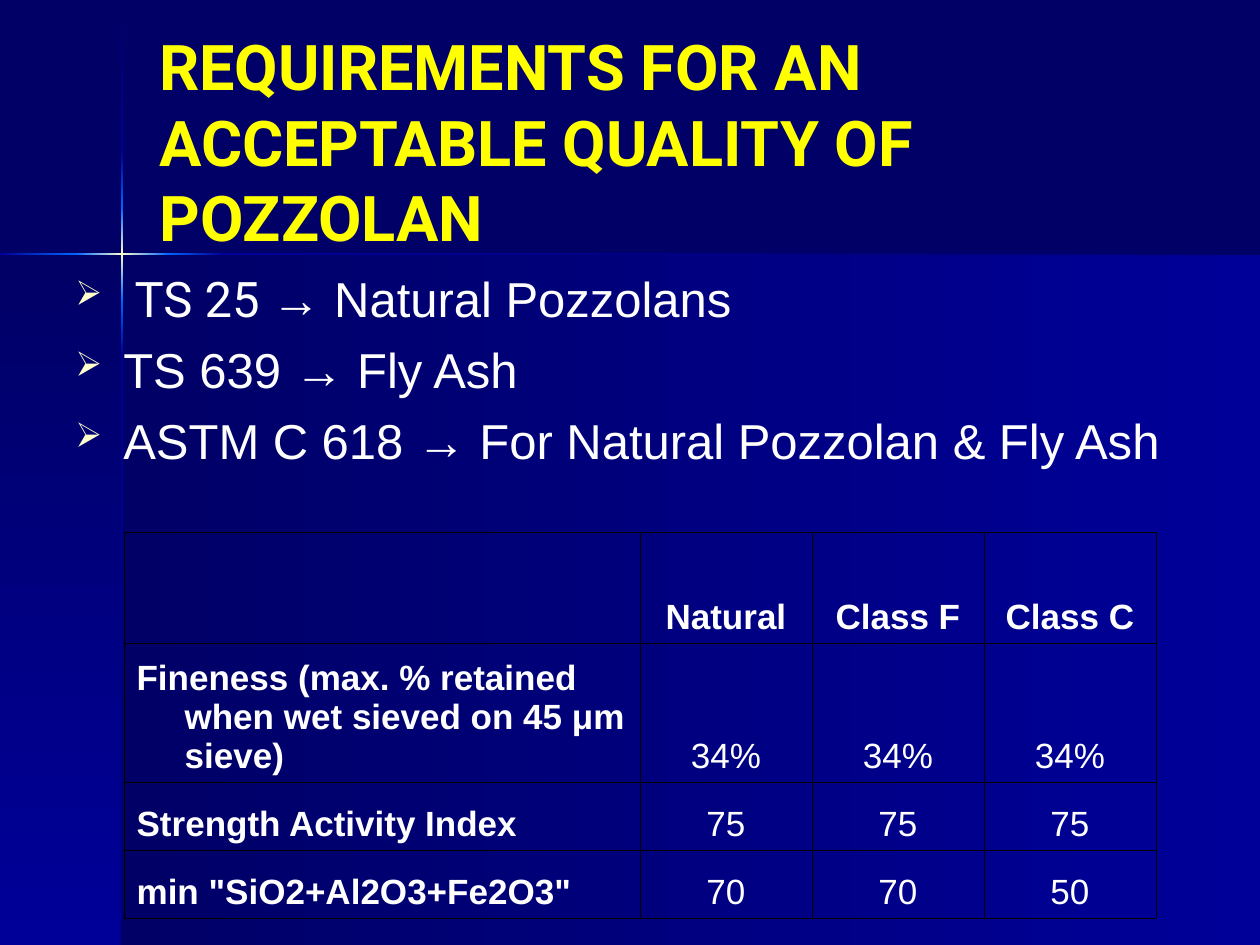
from dataclasses import dataclass

from lxml import etree
from pptx import Presentation
from pptx import util as u
from pptx.dml.color import RGBColor
from pptx.enum import shapes, text
from pptx.oxml import ns

NAVY = RGBColor(0x00, 0x00, 0x66)
BLUE = RGBColor(0x00, 0x00, 0x99)
GLOW = RGBColor(0x00, 0x66, 0xFF)
CREAM = RGBColor(0xFF, 0xFF, 0xCC)
YELLOW = RGBColor(0xFF, 0xFF, 0x00)
WHITE = RGBColor(0xFF, 0xFF, 0xFF)
BLACK = RGBColor(0x00, 0x00, 0x00)

DOWN, LEFT = 90, 180  # clockwise direction of a gradient
HANG = 48             # hanging indent


@dataclass
class Band:
    x: int
    y: int
    w: int
    h: int
    angle: int
    stops: tuple[RGBColor, ...]


# Two panels, then the glowing cross
BANDS = [
    Band(122, 255, 1138, 690, LEFT, (BLUE, NAVY)),
    Band(0, 255, 122, 690, DOWN, (NAVY, BLUE)),
    Band(121, 1, 2, 151, DOWN, (NAVY, BLUE)),
    Band(121, 355, 2, 590, DOWN, (BLUE, NAVY)),
    Band(223, 253, 1037, 2, LEFT, (NAVY, BLUE)),
    Band(121, 300, 2, 55, DOWN, (GLOW, BLUE)),
    Band(121, 152, 2, 56, DOWN, (BLUE, GLOW)),
    Band(121, 208, 2, 92, DOWN, (GLOW, CREAM, GLOW)),
    Band(0, 253, 76, 2, LEFT, (GLOW, BLUE)),
    Band(168, 253, 55, 2, LEFT, (BLUE, GLOW)),
    Band(76, 253, 92, 2, LEFT, (GLOW, CREAM, GLOW)),
]

TITLE = "REQUIREMENTS FOR AN ACCEPTABLE QUALITY OF POZZOLAN"
NORMS = [
    [(" TS 25 ", "Roboto"), ("→ Natural Pozzolans", "Arial")],
    [("TS 639 → Fly Ash", "Arial")],
    [("ASTM C 618 → For Natural Pozzolan & Fly Ash", "Arial")],
]

COLS = [516, 172, 172, 172]
ROWS = [111, 139, 68, 68]
CELLS = [
    ["", "Natural", "Class F", "Class C"],
    ["Fineness (max. % retained when wet sieved on 45 μm sieve)", "34%", "34%", "34%"],
    ["Strength Activity Index", "75", "75", "75"],
    ['min "SiO2+Al2O3+Fe2O3"', "70", "70", "50"],
]


def px(n: int) -> int:
    return round(n * 914400 / 126)


def node(parent, tag: str, **attrs):
    return etree.SubElement(parent, ns.qn(tag), {k: str(v) for k, v in attrs.items()})


def draw_band(slide, band: Band) -> None:
    box = slide.shapes.add_shape(shapes.MSO_SHAPE.RECTANGLE,
                                 *map(px, (band.x, band.y, band.w, band.h)))
    box.shadow.inherit = False
    box.line.fill.background()
    box.fill.gradient()
    box.fill.gradient_angle = 360 - band.angle
    stops = box.element.spPr.find(".//" + ns.qn("a:gsLst"))
    for old in list(stops):
        stops.remove(old)
    for i, color in enumerate(band.stops):
        stop = node(stops, "a:gs", pos=100000 * i // (len(band.stops) - 1))
        node(stop, "a:srgbClr", val=color)


def write(frame, paras: list, *, size: int, color: RGBColor = WHITE, bold: bool = False,
          align=text.PP_ALIGN.LEFT, hang: int = 0, before: int = 0, bullet: str = "") -> None:
    """Each paragraph is a list of (words, font) runs."""
    frame.word_wrap = True
    for i, runs in enumerate(paras):
        para = frame.add_paragraph() if i else frame.paragraphs[0]
        para.alignment = align
        para.space_before = u.Pt(before)
        props = para._p.get_or_add_pPr()
        props.set("marL", str(px(hang)))
        props.set("indent", str(-px(hang)))
        if bullet:
            node(node(props, "a:buClr"), "a:srgbClr", val=CREAM)
            node(props, "a:buSzPct", val=70000)
            node(props, "a:buChar", char=bullet)
        for words, face in runs:
            run = para.add_run()
            run.text = words
            font = run.font
            font.name, font.size, font.bold = face, u.Pt(size), bold
            font.color.rgb = color


def add_box(slide, x: int, y: int, w: int, h: int):
    return slide.shapes.add_textbox(*map(px, (x, y, w, h))).text_frame


def add_edges(cell) -> None:
    props = cell._tc.get_or_add_tcPr()
    for i, side in enumerate(("a:lnL", "a:lnR", "a:lnT", "a:lnB")):
        line = node(props, side, w=u.Pt(0.45))
        node(node(line, "a:solidFill"), "a:srgbClr", val=BLACK)
        props.insert(i, line)


def draw_table(slide, x: int, y: int) -> None:
    table = slide.shapes.add_table(len(ROWS), len(COLS), px(x), px(y),
                                   px(sum(COLS)), px(sum(ROWS))).table
    table.first_row = table.horz_banding = False
    for col, w in zip(table.columns, COLS):
        col.width = px(w)
    for row, h in zip(table.rows, ROWS):
        row.height = px(h)
    for r, line in enumerate(CELLS):
        for c, words in enumerate(line):
            cell = table.cell(r, c)
            cell.fill.background()
            add_edges(cell)
            cell.vertical_anchor = text.MSO_ANCHOR.BOTTOM
            if words:
                write(cell.text_frame, [[(words, "Arial")]], size=20,
                      bold=r == 0 or c == 0, hang=HANG,
                      align=text.PP_ALIGN.CENTER if c else text.PP_ALIGN.LEFT)


def main() -> None:
    deck = Presentation()
    deck.slide_width, deck.slide_height = px(1260), px(945)
    slide = deck.slides.add_slide(deck.slide_layouts[6])

    # Background
    slide.background.fill.solid()
    slide.background.fill.fore_color.rgb = NAVY
    for band in BANDS:
        draw_band(slide, band)

    # Title
    head = add_box(slide, 147, 42, 1040, 198)
    head.vertical_anchor = text.MSO_ANCHOR.MIDDLE
    write(head, [[(TITLE, "Roboto")]], size=36, color=YELLOW, bold=True)

    # Standards
    write(add_box(slide, 63, 262, 1197, 229), NORMS, size=28,
          hang=HANG, before=7, bullet="➢")

    # Limits
    draw_table(slide, 124, 532)
    deck.save("out.pptx")


if __name__ == "__main__":
    main()
